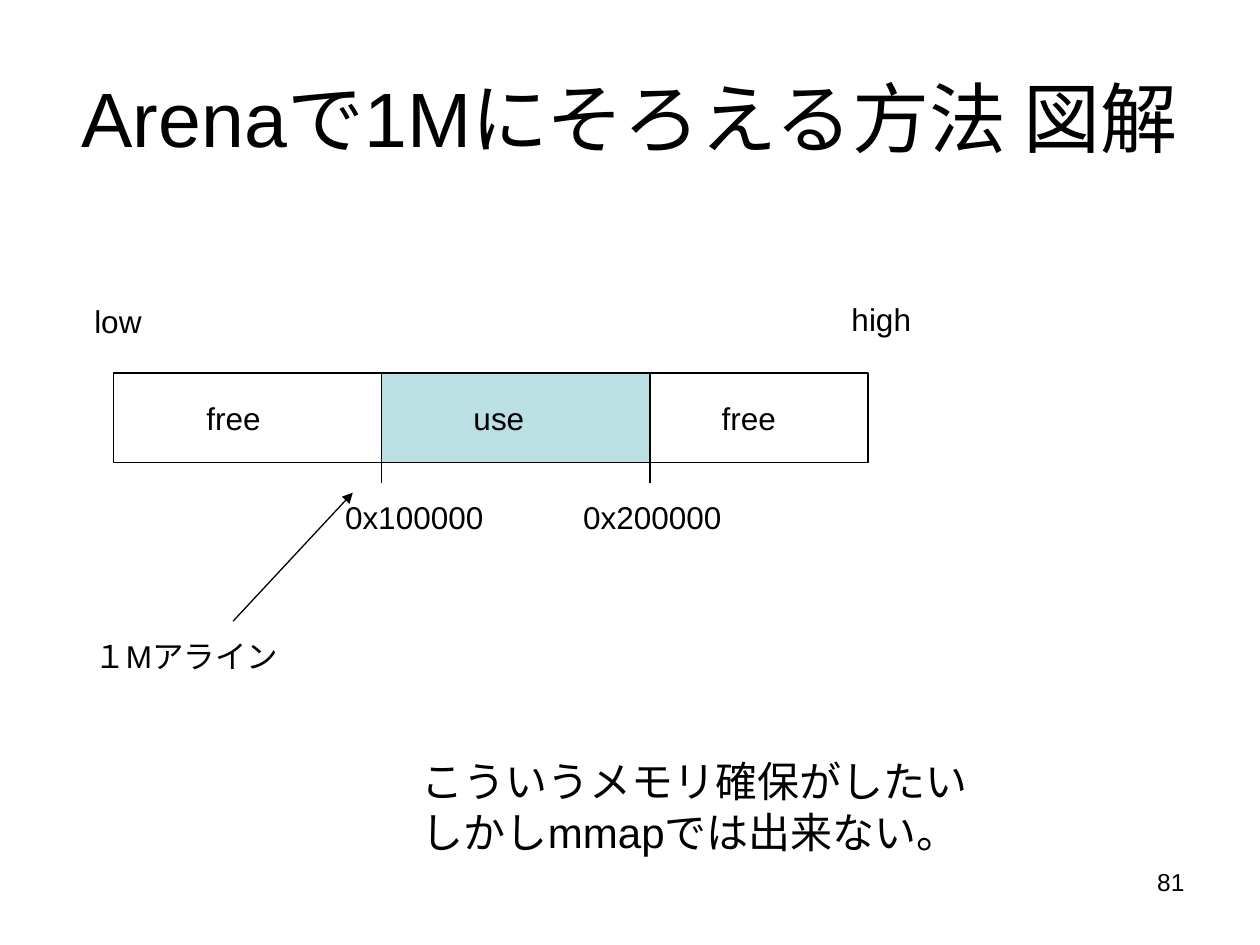
"""Build a slide showing how an arena aligns memory to 1M."""
from lxml.etree import SubElement
from pptx import Presentation
from pptx.dml.color import RGBColor
from pptx.enum.shapes import MSO_CONNECTOR, MSO_SHAPE
from pptx.enum.text import MSO_ANCHOR, MSO_AUTO_SIZE, PP_ALIGN
from pptx.oxml.ns import qn
from pptx.util import Inches, Pt

BLACK = RGBColor(0, 0, 0)
WHITE = RGBColor(255, 255, 255)
USED_BLUE = RGBColor(0xBB, 0xE0, 0xE3)

TITLE = "Arenaで1Mにそろえる方法 図解"
MEMORY_LEFT, MEMORY_TOP, MEMORY_WIDTH, MEMORY_HEIGHT = 0.9, 2.96, 5.99, 0.71
USED_LEFT, USED_RIGHT = 3.03, 5.16
MEMORY_BOTTOM = MEMORY_TOP + MEMORY_HEIGHT
TICK_LENGTH = 0.16

BLOCKS = [
    (MEMORY_LEFT, MEMORY_WIDTH, WHITE),
    (USED_LEFT, USED_RIGHT - USED_LEFT, USED_BLUE),
]
LABELS = [
    ("low", 0.65, 2.35, 0.6),
    ("high", 6.66, 2.33, 0.67),
    ("free", 1.54, 3.12, 0.63),
    ("use", 3.66, 3.12, 0.6),
    ("free", 5.63, 3.12, 0.63),
    ("0x100000", 2.64, 3.9, 1.3),
    ("0x200000", 4.53, 3.9, 1.3),
    ("１Mアライン", 0.65, 5.01, 1.78),
]
CONCLUSION = "こういうメモリ確保がしたい\nしかしmmapでは出来ない。"
SLIDE_NUMBER = "81"


def write_text(shape, text, size=18, align=PP_ALIGN.LEFT, anchor=MSO_ANCHOR.TOP,
               wrap=False, auto_size=MSO_AUTO_SIZE.SHAPE_TO_FIT_TEXT):
    frame = shape.text_frame
    frame.text = text
    frame.word_wrap = wrap
    frame.auto_size = auto_size
    frame.vertical_anchor = anchor
    for paragraph in frame.paragraphs:
        paragraph.alignment = align
        for run in paragraph.runs:
            run.font.name = "Arial"
            run.font.size = Pt(size)
            run.font.color.rgb = BLACK


def add_label(slide, text, left, top, width, height=0.4, **text_format):
    box = slide.shapes.add_textbox(
        Inches(left), Inches(top), Inches(width), Inches(height))
    write_text(box, text, **text_format)


def add_block(slide, left, width, fill):
    block = slide.shapes.add_shape(
        MSO_SHAPE.RECTANGLE, Inches(left), Inches(MEMORY_TOP),
        Inches(width), Inches(MEMORY_HEIGHT))
    block.shadow.inherit = False
    block.fill.solid()
    block.fill.fore_color.rgb = fill
    block.line.color.rgb = BLACK
    block.line.width = Pt(0.75)


def add_line(slide, start, end, arrow=False):
    line = slide.shapes.add_connector(
        MSO_CONNECTOR.STRAIGHT, *(Inches(value) for value in (*start, *end)))
    line.line.color.rgb = BLACK
    line.line.width = Pt(0.75)
    if arrow:
        SubElement(line.line._get_or_add_ln(), qn("a:tailEnd"), type="triangle")
    SubElement(line._element.spPr, qn("a:effectLst"))


def main():
    presentation = Presentation()
    presentation.slide_width = Inches(10)
    presentation.slide_height = Inches(7.5)
    slide = presentation.slides.add_slide(presentation.slide_layouts[5])

    title = slide.shapes.title
    title.left, title.top = Inches(0.5), Inches(0.3)
    title.width, title.height = Inches(9), Inches(1.25)
    write_text(title, TITLE, size=44, align=PP_ALIGN.CENTER,
               anchor=MSO_ANCHOR.MIDDLE, wrap=True, auto_size=MSO_AUTO_SIZE.NONE)

    for block in BLOCKS:
        add_block(slide, *block)
    for boundary in (USED_LEFT, USED_RIGHT):
        add_line(slide, (boundary, MEMORY_BOTTOM),
                 (boundary, MEMORY_BOTTOM + TICK_LENGTH))
    add_line(slide, (1.85, 4.93), (2.8, 3.91), arrow=True)
    for label in LABELS:
        add_label(slide, *label)
    add_label(slide, CONCLUSION, 3.25, 5.95, 4.62, 0.9, size=24)
    add_label(slide, SLIDE_NUMBER, 7.17, 6.83, 2.33, 0.52, size=14,
              align=PP_ALIGN.RIGHT, wrap=True, auto_size=MSO_AUTO_SIZE.NONE)
    presentation.save("out.pptx")


if __name__ == "__main__":
    main()
